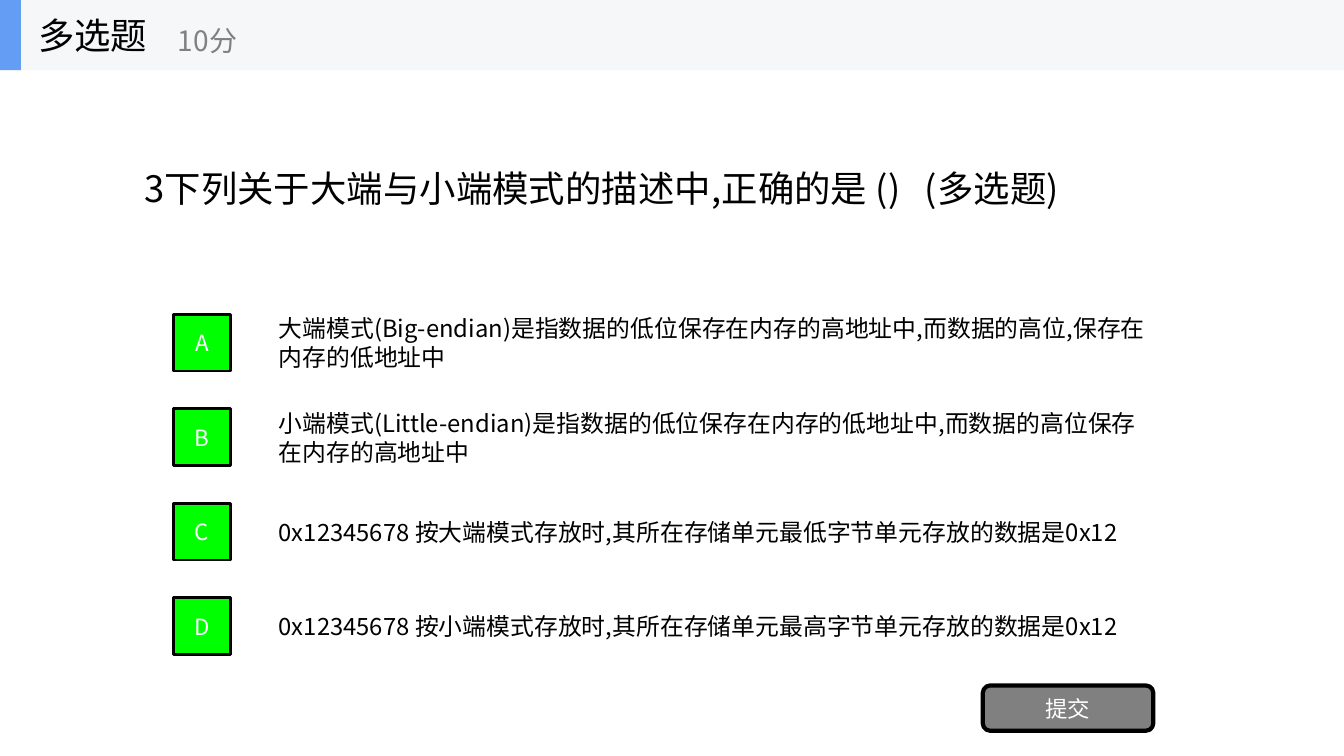
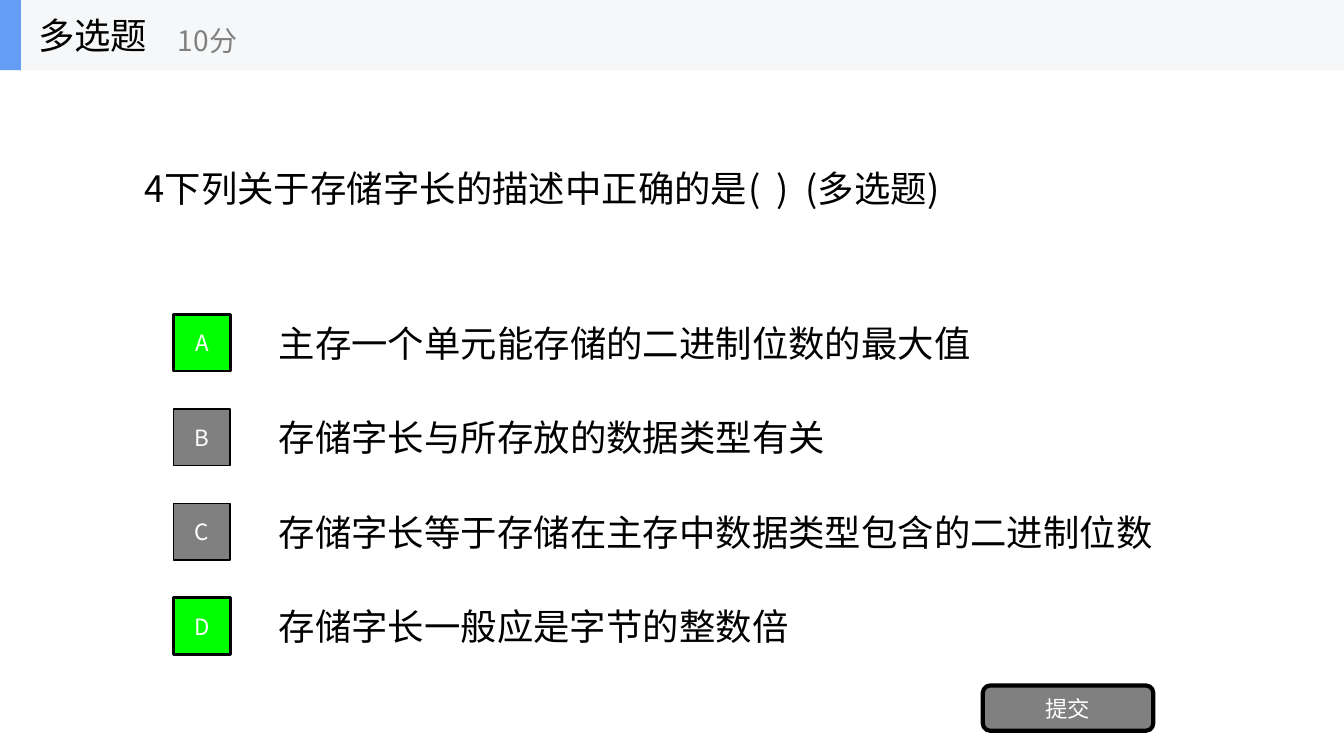
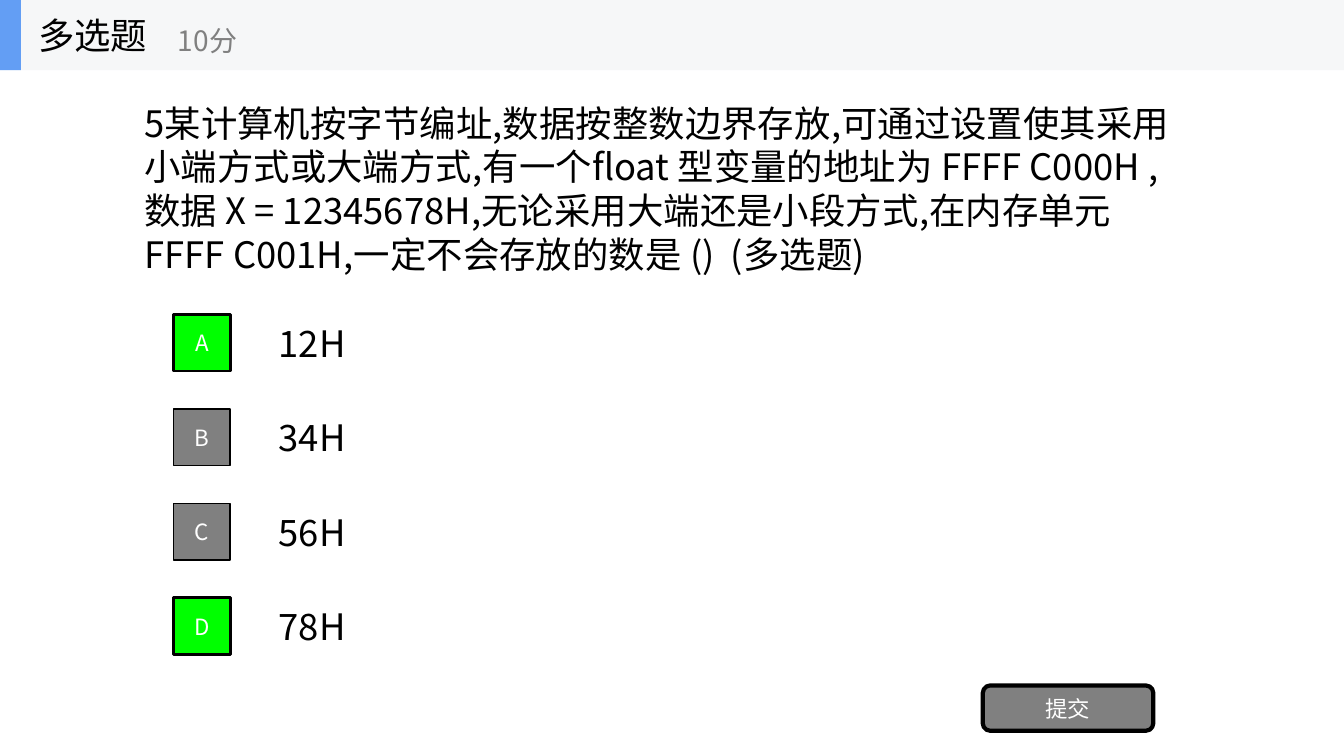
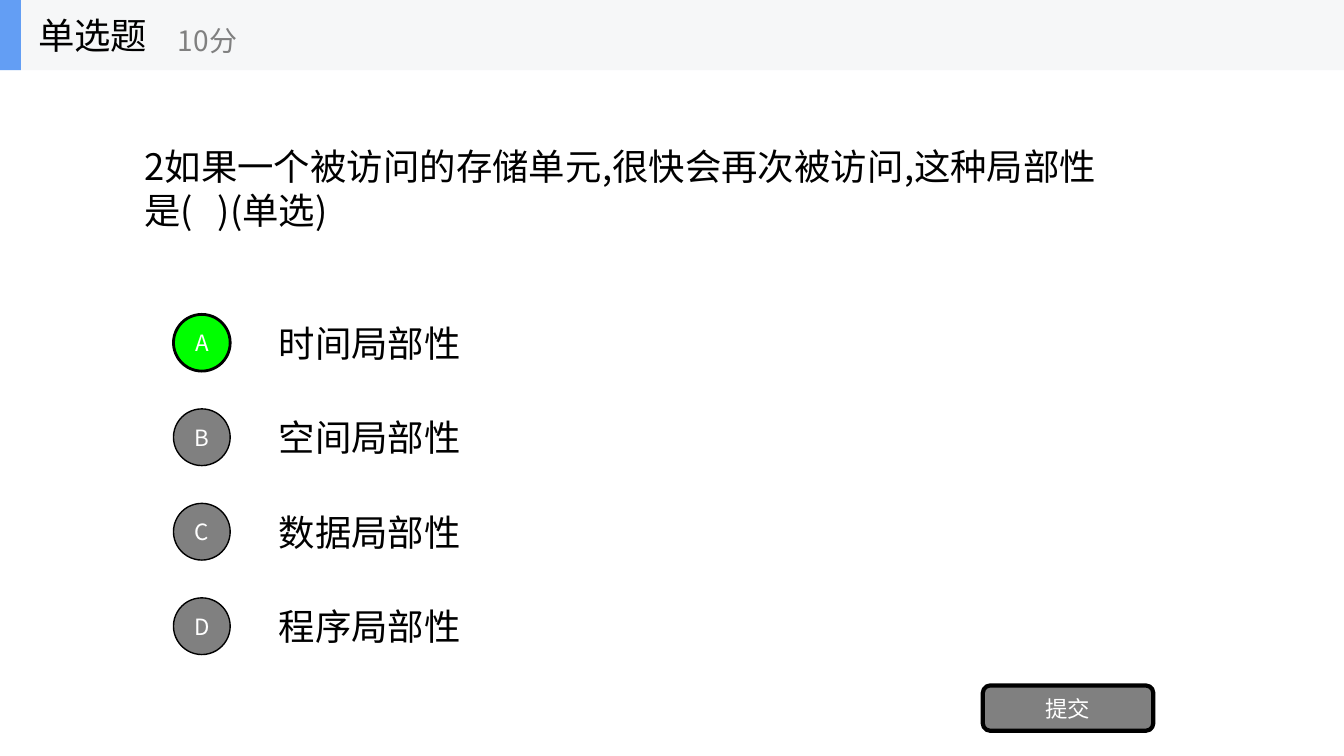
from pptx import Presentation, util as u
from pptx.dml.color import RGBColor
from pptx.enum import shapes, text
from pptx.oxml import ns
from lxml import etree

BLACK = RGBColor(0x00, 0x00, 0x00)
WHITE = RGBColor(0xFF, 0xFF, 0xFF)
GRAY = RGBColor(0x80, 0x80, 0x80)
GREEN = RGBColor(0x00, 0xFF, 0x00)
BLUE = RGBColor(0x63, 0x9E, 0xF4)
PALE = RGBColor(0xF6, 0xF7, 0xF8)

RECT = shapes.MSO_SHAPE.RECTANGLE
OVAL = shapes.MSO_SHAPE.OVAL
ROUNDED = shapes.MSO_SHAPE.ROUNDED_RECTANGLE
LEFT, CENTER = text.PP_ALIGN.LEFT, text.PP_ALIGN.CENTER

MULTIPLE, SINGLE = "多选题", "单选题"
COLUMNS, ROWS = 32, 18
QUESTION_MIDDLE = 4.48
FIRST_MIDDLE, PITCH = 8.16, 2.25
MARK = 1.35
LINE = 1.27


class Quiz:
    font = "Noto Sans CJK SC"

    def __init__(self):
        self.deck = Presentation()
        self.deck.slide_width = u.Inches(13.333)
        self.deck.slide_height = u.Inches(7.5)
        self.page = None

    def area(self, left, top, width, height):
        column = self.deck.slide_width / COLUMNS
        row = self.deck.slide_height / ROWS
        return [round(n) for n in (left * column, top * row, width * column, height * row)]

    def fill_text(self, box, words, size, color, align=LEFT):
        frame = box.text_frame
        frame.word_wrap = True
        frame.auto_size = text.MSO_AUTO_SIZE.NONE
        frame.vertical_anchor = text.MSO_ANCHOR.MIDDLE
        para = frame.paragraphs[0]
        para.alignment = align
        span = para.add_run()
        span.text = words
        span.font.size = u.Pt(size)
        span.font.name = self.font
        span.font.color.rgb = color
        for style in box.element.iter(ns.qn("a:rPr")):
            etree.SubElement(style, ns.qn("a:ea")).set("typeface", self.font)

    def label(self, words, size, color, *area):
        box = self.page.shapes.add_textbox(*self.area(*area))
        self.fill_text(box, words, size, color)

    def shape(self, kind, fill, *area, border=0, words=None):
        box = self.page.shapes.add_shape(kind, *self.area(*area))
        box.shadow.inherit = False
        box.fill.solid()
        box.fill.fore_color.rgb = fill
        if border:
            box.line.color.rgb = BLACK
            box.line.width = u.Pt(border)
        else:
            box.line.fill.background()
        if words:
            self.fill_text(box, words, 16, WHITE, CENTER)

    def question(self, words, width, height):
        box = self.page.shapes.title
        box.left, box.top, box.width, box.height = self.area(
            3.2, QUESTION_MIDDLE - height / 2, width, height)
        self.fill_text(box, words, 26, BLACK)

    def option(self, index, mark, words, width, height, size, correct):
        middle = FIRST_MIDDLE + index * PITCH
        self.label(words, size, BLACK, 6.4, middle - height / 2, width, height)
        letter = "ABCD"[index]
        self.shape(mark, GREEN if correct else GRAY, 4.13, middle - MARK / 2, MARK, MARK,
                   border=2 if correct else 1, words=letter)

    def header(self, kind):
        self.shape(RECT, PALE, 0, 0, COLUMNS, 1.67)
        self.shape(RECT, BLUE, 0, 0, 0.5, 1.67)
        self.label(kind, 26, BLACK, 0.67, 0, 5, 1.67)
        self.label("10分", 20, GRAY, 4, 0.28, 6, MARK)

    def add(self, kind, question, options, correct, size=26):
        self.page = self.deck.slides.add_slide(self.deck.slide_layouts[5])
        self.question(*question)
        mark = OVAL if kind == SINGLE else RECT
        for index, (words, width, height) in enumerate(options):
            self.option(index, mark, words, width, height, size, "ABCD"[index] in correct)
        self.shape(ROUNDED, GRAY, 23.4, 16.32, 4.06, 1.08, border=3, words="提交")
        self.header(kind)


def main():
    quiz = Quiz()
    quiz.add(
        MULTIPLE,
        ("3下列关于大端与小端模式的描述中,正确的是 ()   (多选题)", 22.7, LINE),
        [("大端模式(Big-endian)是指数据的低位保存在内存的高地址中,而数据的高位,保存在内存的低地址中", 21.1, 1.6),
         ("小端模式(Little-endian)是指数据的低位保存在内存的低地址中,而数据的高位保存在内存的高地址中", 21.43, 1.6),
         ("0x12345678 按大端模式存放时,其所在存储单元最低字节单元存放的数据是0x12", 20.83, 0.94),
         ("0x12345678 按小端模式存放时,其所在存储单元最高字节单元存放的数据是0x12", 20.83, 0.94)],
        "ABCD", size=17)
    quiz.add(
        MULTIPLE,
        ("4下列关于存储字长的描述中正确的是(  )  (多选题)", 19.9, LINE),
        [("主存一个单元能存储的二进制位数的最大值", 17.2, LINE),
         ("存储字长与所存放的数据类型有关", 13.73, LINE),
         ("存储字长等于存储在主存中数据类型包含的二进制位数", 21.53, LINE),
         ("存储字长一般应是字节的整数倍", 12.86, LINE)],
        "AD")
    quiz.add(
        MULTIPLE,
        ("5某计算机按字节编址,数据按整数边界存放,可通过设置使其采用小端方式或大端方式,"
         "有一个float 型变量的地址为 FFFF C000H ,数据 X = 12345678H,"
         "无论采用大端还是小段方式,在内存单元 FFFF C001H,一定不会存放的数是 ()  (多选题)", 24.89, 4.39),
        [(words, 2.42, LINE) for words in ("12H", "34H", "56H", "78H")],
        "AD")
    quiz.add(
        SINGLE,
        ("2如果一个被访问的存储单元,很快会再次被访问,这种局部性是(   )(单选)", 23.93, 2.33),
        [(words + "局部性", 5.06, LINE) for words in ("时间", "空间", "数据", "程序")],
        "A")
    quiz.deck.save("out.pptx")


if __name__ == "__main__":
    main()
